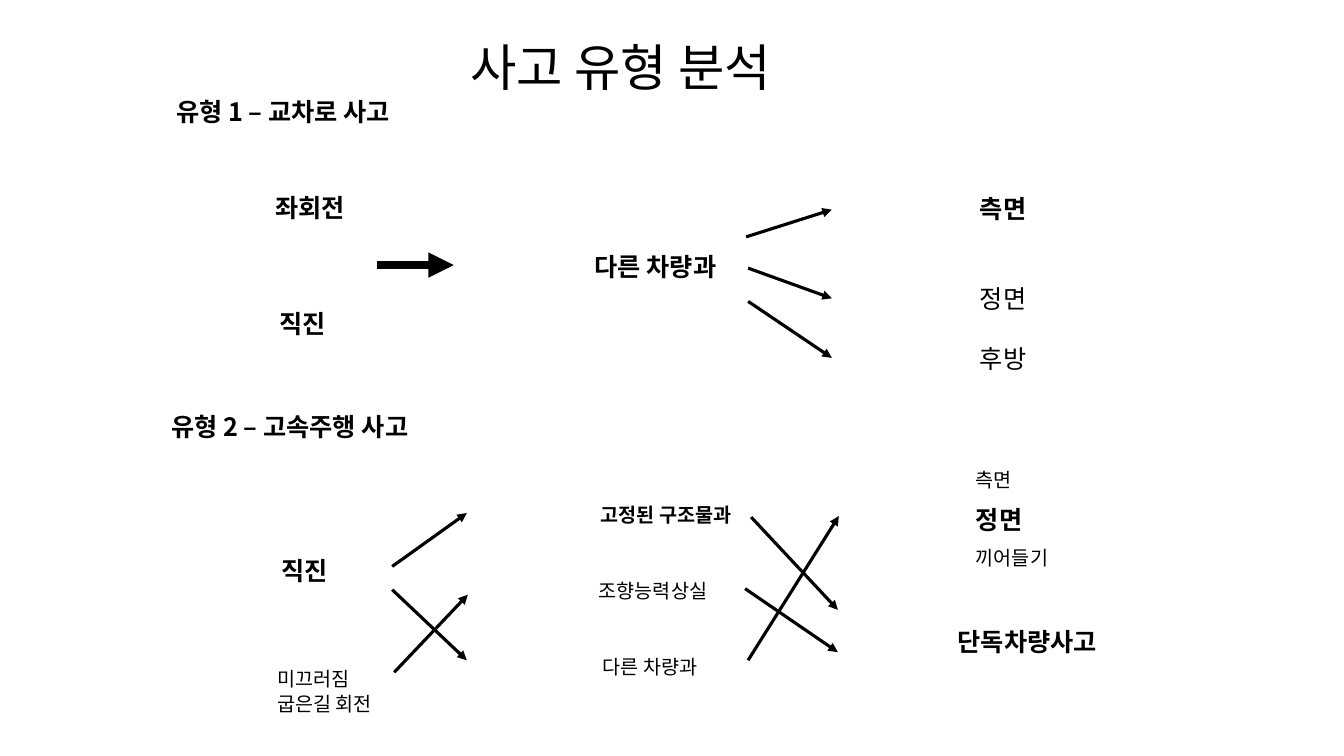
from dataclasses import dataclass

from lxml.etree import SubElement
from pptx import Presentation
from pptx.dml.color import RGBColor
from pptx.enum.shapes import MSO_CONNECTOR
from pptx.enum.text import MSO_ANCHOR, MSO_AUTO_SIZE, PP_ALIGN
from pptx.oxml.ns import qn
from pptx.util import Inches, Pt

BLACK = RGBColor(0, 0, 0)
FONT = "Noto Sans CJK KR"
LEADING = 1.28


@dataclass
class Label:
    text: str
    left: float
    top: float
    width: float
    size: int = 18
    bold: bool = False
    height: float = 0.4


@dataclass
class Arrow:
    x1: float
    y1: float
    x2: float
    y2: float
    weight: float = 2.25


TITLE = Label("사고 유형 분석", 2.69, 0.27, 6.93, 36, height=0.71)

CROSSING = [
    Label("유형 1 – 교차로 사고", 1.65, 0.89, 3.34, bold=True),
    Label("좌회전", 2.63, 1.84, 0.98, bold=True),
    Label("직진", 2.67, 2.99, 0.9, bold=True),
    Label("다른 차량과", 5.8, 2.42, 1.8, bold=True),
    Label("측면", 9.62, 1.85, 0.8, bold=True),
    Label("정면", 9.62, 2.74, 0.8),
    Label("후방", 9.62, 3.34, 0.93),
]

SPEEDING = [
    Label("유형 2 – 고속주행 사고", 1.6, 4.01, 3.38, bold=True),
    Label("직진", 2.69, 5.44, 0.83, bold=True),
    Label("미끄러짐\n굽은길 회전", 2.65, 6.55, 1.6, 14, height=0.57),
    Label("고정된 구조물과", 5.86, 4.92, 2.19, 14, True, 0.34),
    Label("조향능력상실", 5.84, 5.68, 1.98, 14, height=0.34),
    Label("다른 차량과", 5.88, 6.43, 1.81, 14, height=0.34),
    Label("측면", 9.58, 4.58, 1.36, 14, height=0.34),
    Label("정면", 9.58, 4.93, 1.18, bold=True),
    Label("끼어들기", 9.58, 5.35, 2.02, 14, height=0.34),
    Label("단독차량사고", 9.4, 6.14, 2.08, bold=True),
]

ARROWS = [
    Arrow(3.74, 2.63, 4.5, 2.63, 6),
    Arrow(7.4, 2.35, 8.25, 2.08),
    Arrow(7.42, 2.66, 8.25, 2.96),
    Arrow(7.42, 2.99, 8.25, 3.55),
    Arrow(3.89, 5.62, 4.63, 5.09),
    Arrow(3.89, 5.85, 4.63, 6.55),
    Arrow(3.91, 6.67, 4.64, 5.9),
    Arrow(7.45, 5.13, 8.31, 6.05),
    Arrow(7.39, 5.84, 8.31, 6.47),
    Arrow(7.42, 6.55, 8.32, 5.12),
]


def write(frame, text: str, *, size: int, bold: bool = False,
          align: PP_ALIGN = PP_ALIGN.LEFT) -> None:
    """Fill a text frame, one paragraph for each line of text."""
    frame.word_wrap = True
    frame.auto_size = MSO_AUTO_SIZE.NONE
    frame.vertical_anchor = MSO_ANCHOR.TOP
    frame.text = text
    for para in frame.paragraphs:
        para.alignment = align
        para.line_spacing = Pt(size * LEADING)
        for run in para.runs:
            run.font.size = Pt(size)
            run.font.bold = bold
            run.font.color.rgb = BLACK
            run.font.name = FONT
            # Hangul takes its face from the East Asian font
            SubElement(run._r.get_or_add_rPr(), qn("a:ea"), typeface=FONT)


def add_label(slide, label: Label) -> None:
    box = slide.shapes.add_textbox(Inches(label.left), Inches(label.top),
                                   Inches(label.width), Inches(label.height))
    write(box.text_frame, label.text, size=label.size, bold=label.bold)


def set_title(slide, label: Label) -> None:
    title = slide.shapes.title
    title.left, title.top = Inches(label.left), Inches(label.top)
    title.width, title.height = Inches(label.width), Inches(label.height)
    write(title.text_frame, label.text, size=label.size,
          align=PP_ALIGN.CENTER)


def add_arrow(slide, arrow: Arrow) -> None:
    line = slide.shapes.add_connector(
        MSO_CONNECTOR.STRAIGHT, Inches(arrow.x1), Inches(arrow.y1),
        Inches(arrow.x2), Inches(arrow.y2))
    line.line.color.rgb = BLACK
    line.line.width = Pt(arrow.weight)
    SubElement(line.line._get_or_add_ln(), qn("a:tailEnd"), type="triangle")
    SubElement(line._element.spPr, qn("a:effectLst"))


def main() -> None:
    deck = Presentation()
    deck.slide_width, deck.slide_height = Inches(13.33), Inches(7.5)
    slide = deck.slides.add_slide(deck.slide_layouts[5])
    set_title(slide, TITLE)
    for label in CROSSING + SPEEDING:
        add_label(slide, label)
    for arrow in ARROWS:
        add_arrow(slide, arrow)
    deck.save("out.pptx")


if __name__ == "__main__":
    main()
